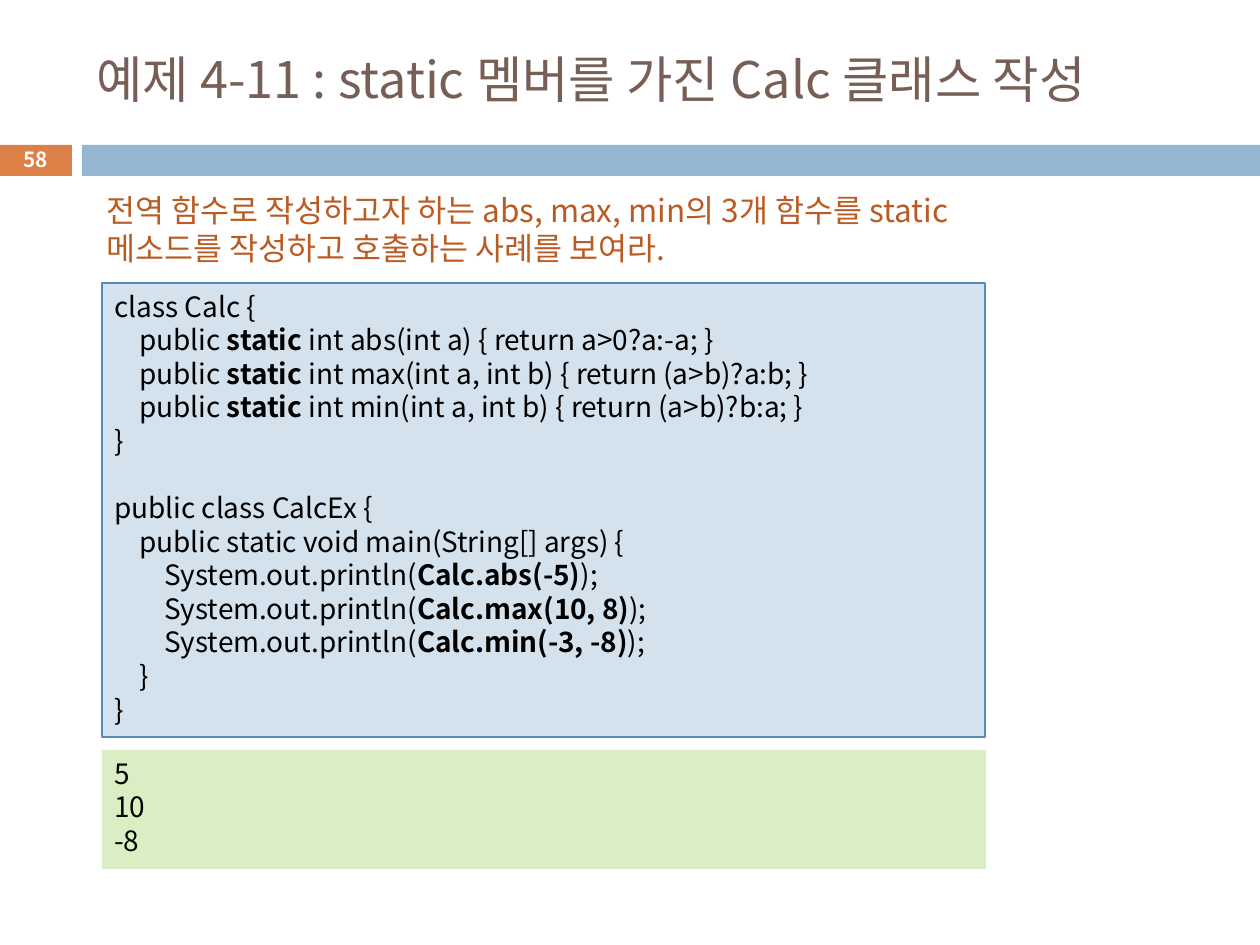
from dataclasses import dataclass

from lxml import etree
from pptx import Presentation
from pptx import util as u
from pptx.dml.color import RGBColor
from pptx.enum import shapes, text
from pptx.oxml import ns

EMU_PER_PX = 914400 / 126
FONT = "Noto Sans CJK KR"
TAB_PX = 25
COLORS = {
    "orange": "DD8047",
    "blue": "94B6D2",
    "title": "775F55",
    "white": "FFFFFF",
    "task": "B95B22",
    "code_fill": "D4E2ED",
    "code_line": "558BB8",
    "output_fill": "DAEEC4",
    "black": "000000",
}
TITLE = "예제 4-11 : static 멤버를 가진 Calc 클래스 작성"
TASK = (
    "전역 함수로 작성하고자 하는 abs, max, min의 3개 함수를 static "
    "메소드를 작성하고 호출하는 사례를 보여라."
)
CODE = """class Calc {
\tpublic **static **int abs(int a) { return a>0?a:-a; }
\tpublic **static **int max(int a, int b) { return (a>b)?a:b; }
\tpublic **static **int min(int a, int b) { return (a>b)?b:a; }
}

public class CalcEx {
\tpublic static void main(String[] args) {
\t\tSystem.out.println(**Calc.abs(-5)**);
\t\tSystem.out.println(**Calc.max(10, 8)**);
\t\tSystem.out.println(**Calc.min(-3, -8)**);
\t}
}"""


@dataclass(frozen=True)
class Area:
    left: int
    top: int
    width: int
    height: int


@dataclass(frozen=True)
class Panel:
    area: Area
    fill: str
    line: str = ""
    words: str = ""


@dataclass(frozen=True)
class Label:
    area: Area
    words: str
    size: float
    color: str
    middle: bool = False
    centered: bool = False
    pitch: float = 0


PANELS = [
    Panel(Area(-1, 145, 73, 31), "orange"),
    Panel(Area(82, 145, 1178, 31), "blue"),
    Panel(Area(102, 283, 883, 454), "code_fill", "code_line", CODE),
    Panel(Area(102, 750, 884, 119), "output_fill", words="5\n10\n-8"),
]
LABELS = [
    Label(Area(84, 32, 1124, 93), TITLE, 28.8, "title", middle=True),
    Label(Area(-1, 142, 73, 34), "**58**", 11.9, "white", middle=True, centered=True),
    Label(Area(94, 185, 953, 89), TASK, 18, "task", pitch=21.7),
]


def px(length: int) -> int:
    return round(length * EMU_PER_PX)


def place(area: Area) -> tuple[int, ...]:
    return tuple(map(px, (area.left, area.top, area.width, area.height)))


def color(name: str) -> RGBColor:
    return RGBColor.from_string(COLORS[name])


def add_tabs(para) -> None:
    tabs = etree.SubElement(para._p.get_or_add_pPr(), ns.qn("a:tabLst"))
    for step in (1, 2):
        etree.SubElement(tabs, ns.qn("a:tab"), pos=str(px(step * TAB_PX)), algn="l")


def write(frame, words: str, size: float, ink: str, centered: bool, pitch: float) -> None:
    frame.word_wrap = True
    frame.text = words.replace("**", "")
    for para, line in zip(frame.paragraphs, words.split("\n")):
        para.text = ""
        para.alignment = text.PP_ALIGN.CENTER if centered else text.PP_ALIGN.LEFT
        if pitch:
            para.line_spacing = u.Pt(pitch)
        if "\t" in line:
            add_tabs(para)
        para.font.size = u.Pt(size)
        for index, part in enumerate(line.split("**")):
            if not part:
                continue
            span = para.add_run()
            span.text = part
            span.font.size = u.Pt(size)
            span.font.name = FONT
            span.font.bold = index % 2 == 1
            span.font.color.rgb = color(ink)
            etree.SubElement(span.font._element, ns.qn("a:ea"), typeface=FONT)


def add_panel(page, panel: Panel) -> None:
    box = page.shapes.add_shape(shapes.MSO_SHAPE.RECTANGLE, *place(panel.area))
    box.shadow.inherit = False
    box.fill.solid()
    box.fill.fore_color.rgb = color(panel.fill)
    if panel.line:
        box.line.color.rgb = color(panel.line)
        box.line.width = u.Pt(0.75)
    else:
        box.line.fill.background()
    if panel.words:
        box.text_frame.vertical_anchor = text.MSO_ANCHOR.TOP
        write(box.text_frame, panel.words, 16, "black", False, 19.2)


def add_label(page, label: Label) -> None:
    box = page.shapes.add_textbox(*place(label.area))
    if label.middle:
        box.text_frame.vertical_anchor = text.MSO_ANCHOR.MIDDLE
    write(box.text_frame, label.words, label.size, label.color, label.centered, label.pitch)


def main() -> None:
    deck = Presentation()
    deck.slide_width, deck.slide_height = u.Inches(10), u.Inches(7.5)
    page = deck.slides.add_slide(deck.slide_layouts[6])
    for panel in PANELS:
        add_panel(page, panel)
    for label in LABELS:
        add_label(page, label)
    deck.save("out.pptx")


if __name__ == "__main__":
    main()
